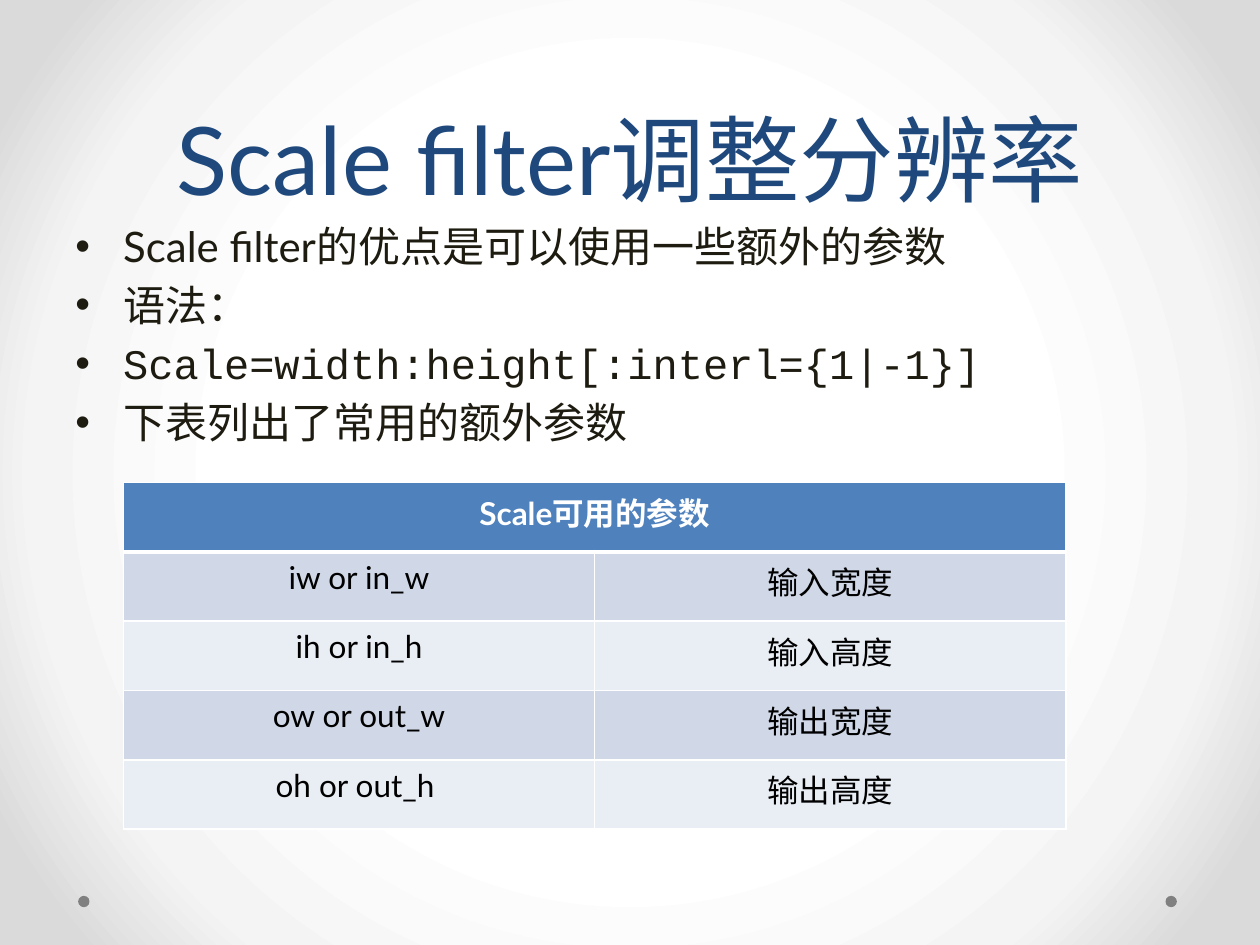
from lxml import etree
from pptx import Presentation
from pptx.dml.color import RGBColor
from pptx.enum.shapes import MSO_SHAPE
from pptx.enum.text import MSO_ANCHOR, MSO_AUTO_SIZE, PP_ALIGN
from pptx.oxml import parse_xml
from pptx.oxml.ns import nsdecls, qn
from pptx.util import Inches, Pt

CENTER, LEFT = PP_ALIGN.CENTER, PP_ALIGN.LEFT
COLORS = {
    "title": "1F497D", "body": "1E1C11", "dot": "808080",
    "header": "4F81BD", "band_dark": "D0D8E8", "band_light": "E9EDF4",
    "white": "FFFFFF", "black": "000000",
}
BACKGROUND_STOPS = [(50, "FFFFFF"), (76, "F4F4F4"), (92, "DADADA")]

TITLE = "Scale filter调整分辨率"
BULLETS = [
    ("Scale filter的优点是可以使用一些额外的参数", "Lato"),
    ("语法：", "Lato"),
    ("Scale=width:height[:interl={1|-1}]", "Courier New"),
    ("下表列出了常用的额外参数", "Lato"),
]
TABLE_HEADER = "Scale可用的参数"
PARAMETERS = [
    ("iw or in_w", "输入宽度"),
    ("ih or in_h", "输入高度"),
    ("ow or out_w", "输出宽度"),
    ("oh or out_h ", "输出高度"),
]
DOT_LEFTS = [0.62, 9.25]
COLUMN_WIDTH, ROW_HEIGHT = 3.74, 0.55


def write_text(paragraph, text, size, color, font="Lato", bold=False, align=LEFT):
    paragraph.alignment = align
    run = paragraph.add_run()
    run.text = text
    run.font.name = font
    run.font.size = Pt(size)
    run.font.bold = bold
    run.font.color.rgb = RGBColor.from_string(COLORS[color])


def add_bullet(paragraph):
    properties = paragraph._p.get_or_add_pPr()
    properties.set("marL", str(Inches(0.38)))
    properties.set("indent", str(-Inches(0.38)))
    etree.SubElement(properties, qn("a:buFont"), typeface="Arial")
    etree.SubElement(properties, qn("a:buChar"), char="•")


def set_background(slide):
    """Fill the background with a circular gradient from the centre."""
    stops = "".join(
        f'<a:gs pos="{position * 1000}"><a:srgbClr val="{color}"/></a:gs>'
        for position, color in BACKGROUND_STOPS)
    slide.background.fill.solid()
    properties = slide.background._cSld.bg.bgPr
    gradient = parse_xml(
        f'<a:gradFill {nsdecls("a")} rotWithShape="1"><a:gsLst>{stops}</a:gsLst>'
        '<a:path path="circle"><a:fillToRect l="50000" t="50000" r="50000" b="50000"/>'
        '</a:path></a:gradFill>')
    properties.replace(properties.find(qn("a:solidFill")), gradient)


def style_cell(cell, fill, bottom_width=1):
    cell.fill.solid()
    cell.fill.fore_color.rgb = RGBColor.from_string(COLORS[fill])
    widths = {"lnL": 1, "lnR": 1, "lnT": 1, "lnB": bottom_width}
    for index, (side, width) in enumerate(widths.items()):
        border = parse_xml(
            f'<a:{side} {nsdecls("a")} w="{Pt(width)}"><a:solidFill>'
            f'<a:srgbClr val="{COLORS["white"]}"/></a:solidFill></a:{side}>')
        cell._tc.get_or_add_tcPr().insert(index, border)


def add_dots(slide):
    for left in DOT_LEFTS:
        dot = slide.shapes.add_shape(
            MSO_SHAPE.OVAL, Inches(left), Inches(7.11), Inches(0.09), Inches(0.09))
        dot.shadow.inherit = False
        dot.fill.solid()
        dot.fill.fore_color.rgb = RGBColor.from_string(COLORS["dot"])
        dot.line.fill.background()


def add_title(slide):
    title = slide.shapes.title
    title.left, title.top = Inches(0.5), Inches(0)
    title.width, title.height = Inches(9), Inches(1.75)
    frame = title.text_frame
    frame.auto_size = MSO_AUTO_SIZE.NONE
    frame.vertical_anchor = MSO_ANCHOR.BOTTOM
    frame.paragraphs[0].line_spacing = Pt(58)
    write_text(frame.paragraphs[0], TITLE, 54, "title", align=CENTER)


def add_bullets(slide):
    box = slide.shapes.add_textbox(Inches(0.5), Inches(1.7), Inches(9), Inches(5))
    frame = box.text_frame
    frame.word_wrap = True
    for index, (text, font) in enumerate(BULLETS):
        paragraph = frame.add_paragraph() if index else frame.paragraphs[0]
        paragraph.space_before = Pt(4.8)
        write_text(paragraph, text, 24, "body", font=font)
        add_bullet(paragraph)


def add_parameter_table(slide):
    row_count = len(PARAMETERS) + 1
    table = slide.shapes.add_table(
        row_count, 2, Inches(0.98), Inches(3.83),
        Inches(2 * COLUMN_WIDTH), Inches(row_count * ROW_HEIGHT)).table
    for column in table.columns:
        column.width = Inches(COLUMN_WIDTH)
    for row in table.rows:
        row.height = Inches(ROW_HEIGHT)

    header = table.cell(0, 0)
    header.merge(table.cell(0, 1))
    for column in range(2):
        style_cell(table.cell(0, column), "header", bottom_width=3)
    write_text(header.text_frame.paragraphs[0], TABLE_HEADER, 18, "white",
               bold=True, align=CENTER)

    for row, texts in enumerate(PARAMETERS, start=1):
        for column, text in enumerate(texts):
            cell = table.cell(row, column)
            style_cell(cell, "band_dark" if row % 2 else "band_light")
            write_text(cell.text_frame.paragraphs[0], text, 18, "black", align=CENTER)


def main():
    presentation = Presentation()
    presentation.slide_width, presentation.slide_height = Inches(10), Inches(7.5)
    slide = presentation.slides.add_slide(presentation.slide_layouts[5])
    set_background(slide)
    add_dots(slide)
    add_title(slide)
    add_bullets(slide)
    add_parameter_table(slide)
    presentation.save("out.pptx")


if __name__ == "__main__":
    main()
